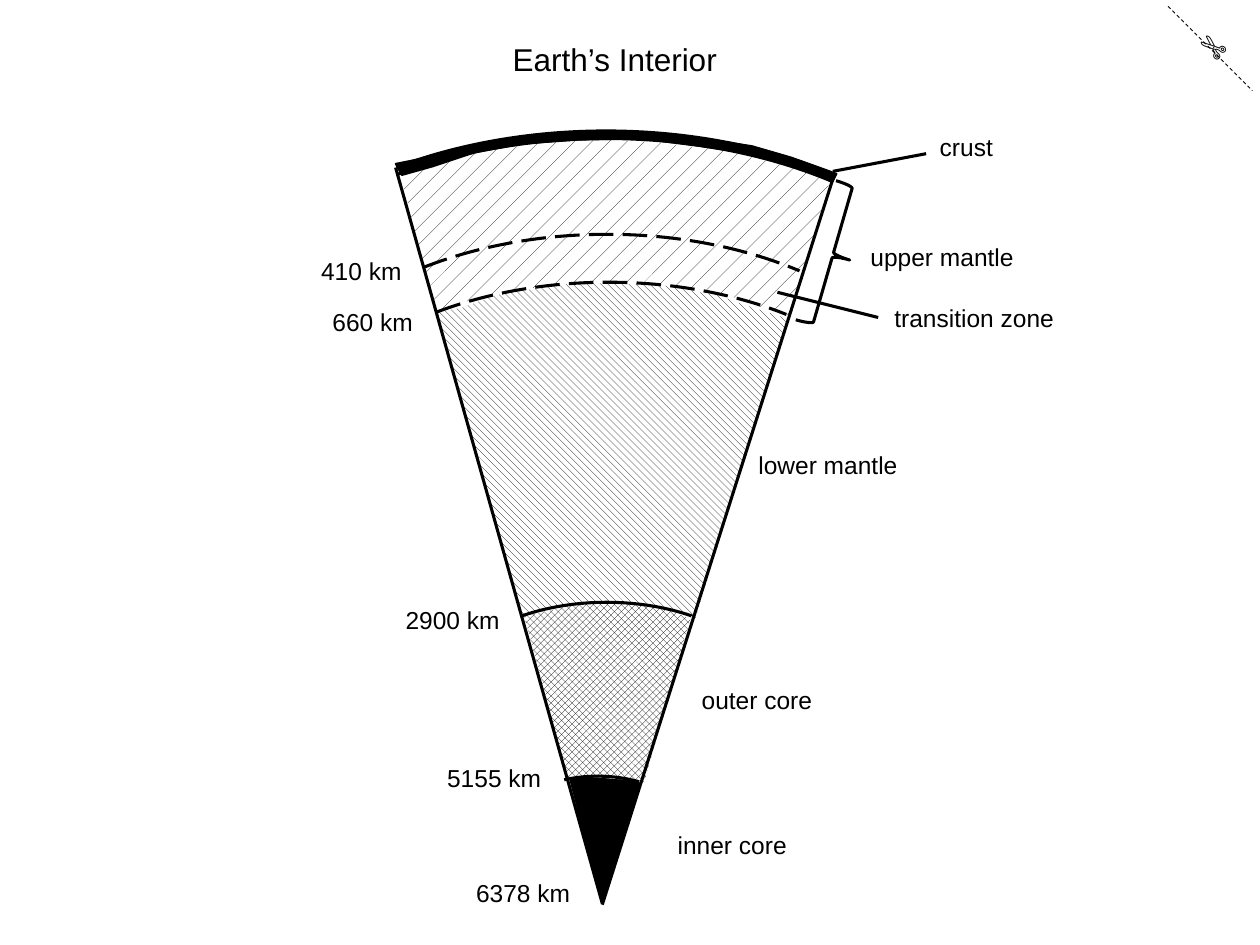
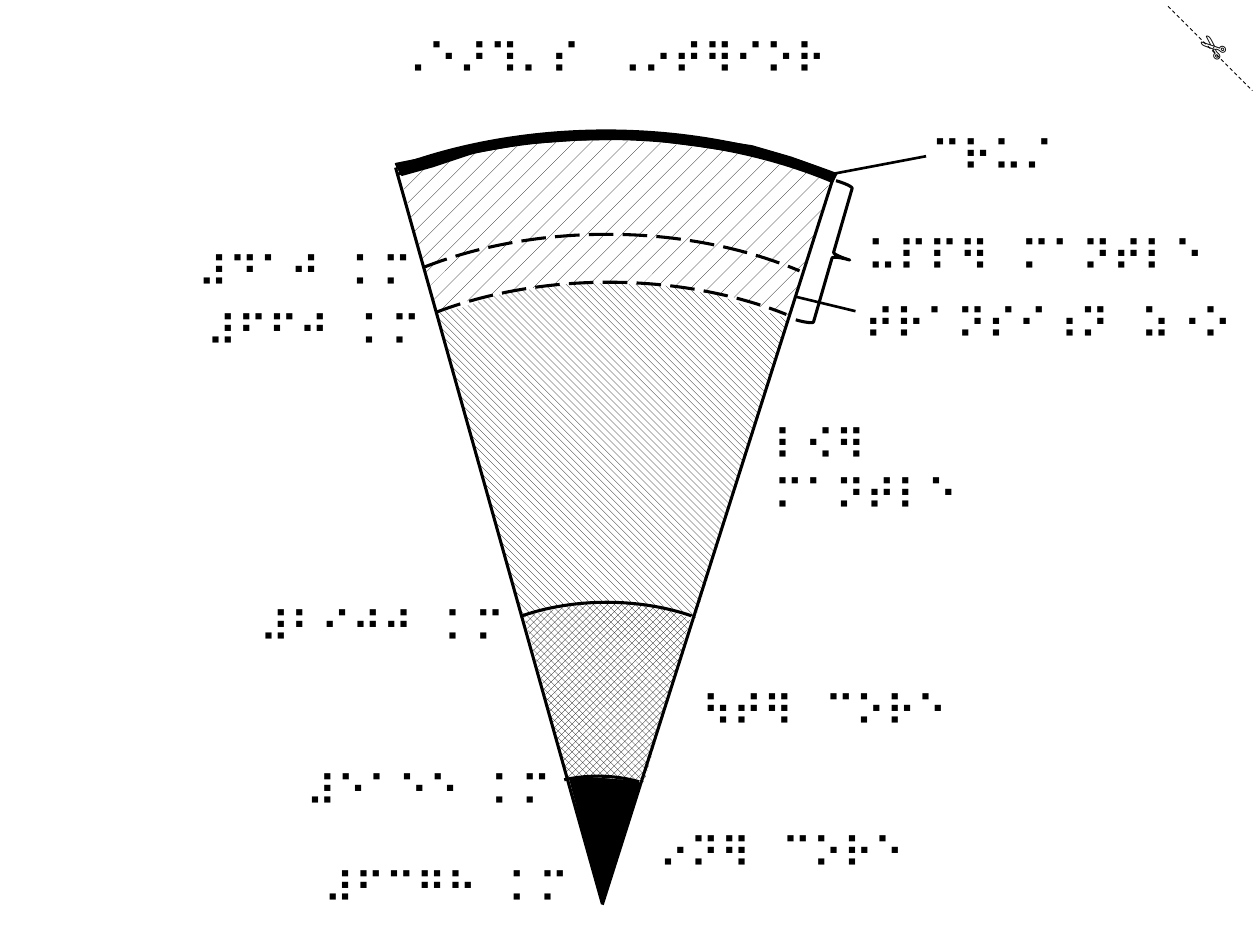
from dataclasses import dataclass

from lxml.etree import SubElement
from pptx import Presentation
from pptx.dml.color import RGBColor
from pptx.enum.dml import MSO_LINE, MSO_PATTERN
from pptx.enum.shapes import MSO_CONNECTOR, MSO_SHAPE
from pptx.enum.text import MSO_AUTO_SIZE, PP_ALIGN
from pptx.oxml.ns import qn
from pptx.util import Inches, Pt

BLACK = RGBColor(0x00, 0x00, 0x00)
WHITE = RGBColor(0xFF, 0xFF, 0xFF)
EDGE = 1.75
BRACE_TILT = 16.1
SCISSORS_TILT = 220.5


@dataclass(frozen=True)
class TextStyle:
    """Font, size and box height of a kind of text."""

    font: str
    size: float
    height: float
    wrap: bool = False


@dataclass(frozen=True)
class Label:
    """Text in a box; lines after the first are centred."""

    text: str
    left: float
    top: float
    width: float


@dataclass(frozen=True)
class Rule:
    """A straight line between two points."""

    start: tuple[float, float]
    end: tuple[float, float]
    width: float = EDGE
    dash: MSO_LINE | None = None


@dataclass(frozen=True)
class Boundary:
    """An arc between two layers."""

    frame: tuple[float, float, float, float]
    angles: tuple[float, float]
    dash: MSO_LINE | None = None


@dataclass(frozen=True)
class Layer:
    """A filled layer of the Earth; a pattern replaces the solid fill."""

    points: tuple[tuple[float, float], ...]
    pattern: MSO_PATTERN | None = None
    outline: float | None = None


LOWER_MANTLE = Layer(
    ((3.47, 2.48), (4.14, 4.89), (4.41, 4.83), (4.75, 4.78), (5.03, 4.78), (5.28, 4.83),
     (5.52, 4.91), (6.25, 2.53), (5.88, 2.41), (5.61, 2.31), (5.31, 2.27), (5.05, 2.25),
     (4.69, 2.23), (4.31, 2.28), (3.95, 2.34), (3.67, 2.44)),
    pattern=MSO_PATTERN.WIDE_DOWNWARD_DIAGONAL,
)
INNER_CORE = Layer(
    ((4.53, 6.19), (4.78, 7.14), (5.07, 6.21), (4.89, 6.19), (4.72, 6.18), (4.6, 6.18)),
    outline=1.5,
)
OUTER_CORE = Layer(
    ((4.16, 4.89), (4.51, 6.19), (4.66, 6.16), (4.85, 6.18), (5.01, 6.19), (5.11, 6.22),
     (5.48, 4.91), (5.29, 4.84), (5.04, 4.79), (4.81, 4.79), (4.6, 4.79), (4.34, 4.85)),
    pattern=MSO_PATTERN.SOLID_DIAMOND,
)
UPPER_MANTLE = Layer(
    ((3.18, 1.39), (3.46, 2.49), (3.71, 2.39), (4.07, 2.31), (4.46, 2.25), (4.87, 2.25),
     (5.25, 2.26), (5.56, 2.32), (5.82, 2.36), (6.07, 2.45), (6.27, 2.51), (6.59, 1.42),
     (6.21, 1.31), (5.72, 1.19), (5.21, 1.13), (4.81, 1.11), (4.32, 1.13), (3.84, 1.2),
     (3.41, 1.31)),
    pattern=MSO_PATTERN.PERCENT_5,
)
CRUST = Layer(
    ((3.14, 1.3), (3.39, 1.25), (3.75, 1.16), (4.19, 1.08), (4.52, 1.05), (4.77, 1.04),
     (5.22, 1.07), (5.59, 1.1), (5.97, 1.16), (6.28, 1.25), (6.56, 1.35), (6.64, 1.38),
     (6.61, 1.44), (6.36, 1.33), (5.95, 1.22), (5.55, 1.16), (5.09, 1.1), (4.59, 1.11),
     (4.16, 1.14), (3.77, 1.21), (3.44, 1.32), (3.19, 1.39)),
    outline=1,
)
LAYERS = (LOWER_MANTLE, INNER_CORE, OUTER_CORE, UPPER_MANTLE, CRUST)
WEDGE_SIDES = (Rule((3.14, 1.33), (4.78, 7.17)), Rule((6.62, 1.39), (4.78, 7.18)))
BOUNDARIES = (
    Boundary((1.69, 1.04, 6.24, 3.74), (223.56, 319.58)),
    Boundary((1.69, 1.1, 6.24, 3.74), (223.56, 319.58)),
    Boundary((3.98, 6.16, 1.53, 0.92), (238.32, 308.38)),
    Boundary((3.47, 4.78, 2.69, 1.61), (225.48, 313.98)),
    Boundary((2.17, 1.86, 5.3, 3.18), (222.34, 319.58), MSO_LINE.LONG_DASH),
    Boundary((2.28, 2.24, 5.1, 3.06), (223.56, 317.94), MSO_LINE.LONG_DASH),
)
CUT_LINE = Rule((9.27, 0.05), (9.94, 0.72), 0.5, MSO_LINE.DASH)
SCISSORS = Label("✄", 9.41, 0.18, 0.42)
BRACE = (6.47, 1.45, 0.28, 1.15)

PRINT_TITLE = Label("Earth’s Interior", 3.97, 0.27, 1.92)
PRINT_LABELS = (
    Label("inner core", 5.28, 6.54, 1.07),
    Label("outer core", 5.47, 5.39, 1.08),
    Label("lower mantle", 5.92, 3.52, 1.31),
    Label("transition zone", 7, 2.36, 1.47),
    Label("upper mantle", 6.81, 1.87, 1.34),
    Label("crust", 7.36, 1, 0.63),
    Label("5155 km", 3.45, 6.01, 0.95),
    Label("2900 km", 3.12, 4.75, 0.95),
    Label("660 km", 2.54, 2.39, 0.84),
    Label("410 km", 2.45, 1.98, 0.84),
    Label("6378 km", 3.68, 6.92, 0.95),
)
PRINT_LEADERS = (Rule((6.61, 1.36), (7.35, 1.22)), Rule((6.17, 2.32), (6.97, 2.52)))

BRAILLE_TITLE = Label("⠠⠑⠜⠹⠄⠎⠀⠠⠔⠞⠻⠊⠕⠗", 3.05, 0.21, 4.6)
BRAILLE_LABELS = (
    Label("⠔⠝⠻⠀⠉⠕⠗⠑", 5.13, 6.51, 2.15),
    Label("⠳⠞⠻⠀⠉⠕⠗⠑", 5.47, 5.38, 2.15),
    Label("⠇⠪⠻\n⠍⠁⠝⠞⠇⠑", 6.04, 3.27, 1.66),
    Label("⠞⠗⠁⠝⠎⠊⠰⠝⠀⠵⠐⠕", 6.76, 2.31, 3.13),
    Label("⠥⠏⠏⠻⠀⠍⠁⠝⠞⠇⠑", 6.78, 1.77, 2.88),
    Label("⠼⠑⠁⠑⠑⠀⠅⠍", 2.33, 6.02, 2.15),
    Label("⠼⠃⠊⠚⠚⠀⠅⠍", 1.96, 4.72, 2.15),
    Label("⠼⠋⠋⠚⠀⠅⠍", 1.54, 2.37, 1.91),
    Label("⠼⠙⠁⠚⠀⠅⠍", 1.47, 1.9, 1.91),
    Label("⠉⠗⠥⠌", 7.29, 0.98, 1.18),
    Label("⠼⠋⠉⠛⠓⠀⠅⠍", 2.47, 6.79, 2.2),
)
BRAILLE_LEADERS = (
    Rule((6.61, 1.38), (7.35, 1.24), 1.5),
    Rule((6.17, 2.32), (6.79, 2.47), 1.5),
)


def set_line(line, width: float, dash: MSO_LINE | None = None) -> None:
    """Make a line black with the given width and dash."""
    line.color.rgb = BLACK
    for name, value in {"width": Pt(width), "dash_style": dash}.items():
        setattr(line, name, value)


def add_label(page, label: Label, style: TextStyle, rotation: float = 0) -> None:
    """Add a text box in the given style."""
    lines = label.text.split("\n")
    height = style.height + (len(lines) - 1) * 0.41
    box = page.shapes.add_textbox(
        *map(Inches, (label.left, label.top, label.width, height)))
    box.rotation = rotation
    frame = box.text_frame
    frame.word_wrap = style.wrap
    frame.auto_size = MSO_AUTO_SIZE.SHAPE_TO_FIT_TEXT
    for index, line in enumerate(lines):
        para = frame.add_paragraph() if index else frame.paragraphs[0]
        if index:
            para.alignment = PP_ALIGN.CENTER
        span = para.add_run()
        span.text = line
        for name, value in {"name": style.font, "size": Pt(style.size)}.items():
            setattr(span.font, name, value)
        span.font.color.rgb = BLACK


def add_rule(shapes, rule: Rule) -> None:
    """Add a straight connector without a shadow."""
    connector = shapes.add_connector(
        MSO_CONNECTOR.STRAIGHT, *map(Inches, rule.start + rule.end))
    set_line(connector.line, rule.width, rule.dash)
    properties = connector._element.find(qn("p:spPr"))
    SubElement(properties, qn("a:effectLst"))


def add_outline(shapes, kind: MSO_SHAPE, frame: tuple[float, float, float, float],
                dash: MSO_LINE | None = None):
    """Add an unfilled preset shape and return it."""
    shape = shapes.add_shape(kind, *map(Inches, frame))
    shape.shadow.inherit = False
    shape.fill.background()
    set_line(shape.line, EDGE, dash)
    return shape


def add_boundary(shapes, boundary: Boundary) -> None:
    """Add an arc whose angles are given in degrees."""
    arc = add_outline(shapes, MSO_SHAPE.ARC, boundary.frame, boundary.dash)
    for index, angle in enumerate(boundary.angles):
        arc.adjustments[index] = angle * 0.6


def add_layer(shapes, layer: Layer) -> None:
    """Add the closed outline of a layer."""
    start, *others = [tuple(map(Inches, point)) for point in layer.points]
    builder = shapes.build_freeform(*start)
    builder.add_line_segments(others, close=True)
    shape = builder.convert_to_shape()
    shape.shadow.inherit = False
    if layer.pattern is None:
        shape.fill.solid()
    else:
        shape.fill.patterned()
        shape.fill.pattern = layer.pattern
        shape.fill.back_color.rgb = WHITE
    shape.fill.fore_color.rgb = BLACK
    if layer.outline is None:
        shape.line.fill.background()
    else:
        set_line(shape.line, layer.outline)


def add_wedge(page) -> None:
    """Add the grouped slice of the Earth."""
    shapes = page.shapes.add_group_shape().shapes
    for layer in LAYERS:
        add_layer(shapes, layer)
    for side in WEDGE_SIDES:
        add_rule(shapes, side)
    for boundary in BOUNDARIES:
        add_boundary(shapes, boundary)


def add_annotations(page, font: str, title: Label, title_style: TextStyle,
                    labels: tuple[Label, ...], label_style: TextStyle,
                    leaders: tuple[Rule, ...]) -> None:
    """Add the cut mark, title, labels, leaders and brace."""
    add_rule(page.shapes, CUT_LINE)
    add_label(page, SCISSORS, TextStyle(font, 18, 0.4, True), SCISSORS_TILT)
    add_label(page, title, title_style)
    for label in labels:
        add_label(page, label, label_style)
    for leader in leaders:
        add_rule(page.shapes, leader)
    brace = add_outline(page.shapes, MSO_SHAPE.RIGHT_BRACE, BRACE)
    brace.rotation = BRACE_TILT


def main() -> None:
    """Build the print and braille slides."""
    deck = Presentation()
    deck.slide_width, deck.slide_height = Inches(10), Inches(7.5)
    blank = deck.slide_layouts[6]

    page = deck.slides.add_slide(blank)
    add_wedge(page)
    add_annotations(page, "Arial", PRINT_TITLE, TextStyle("Arial", 18, 0.4, True),
                    PRINT_LABELS, TextStyle("Arial", 14, 0.34), PRINT_LEADERS)

    page = deck.slides.add_slide(blank)
    add_annotations(page, "Calibri", BRAILLE_TITLE, TextStyle("Calibri", 24, 0.5, True),
                    BRAILLE_LABELS, TextStyle("Calibri", 24, 0.5), BRAILLE_LEADERS)
    add_wedge(page)

    deck.save("out.pptx")


if __name__ == "__main__":
    main()
